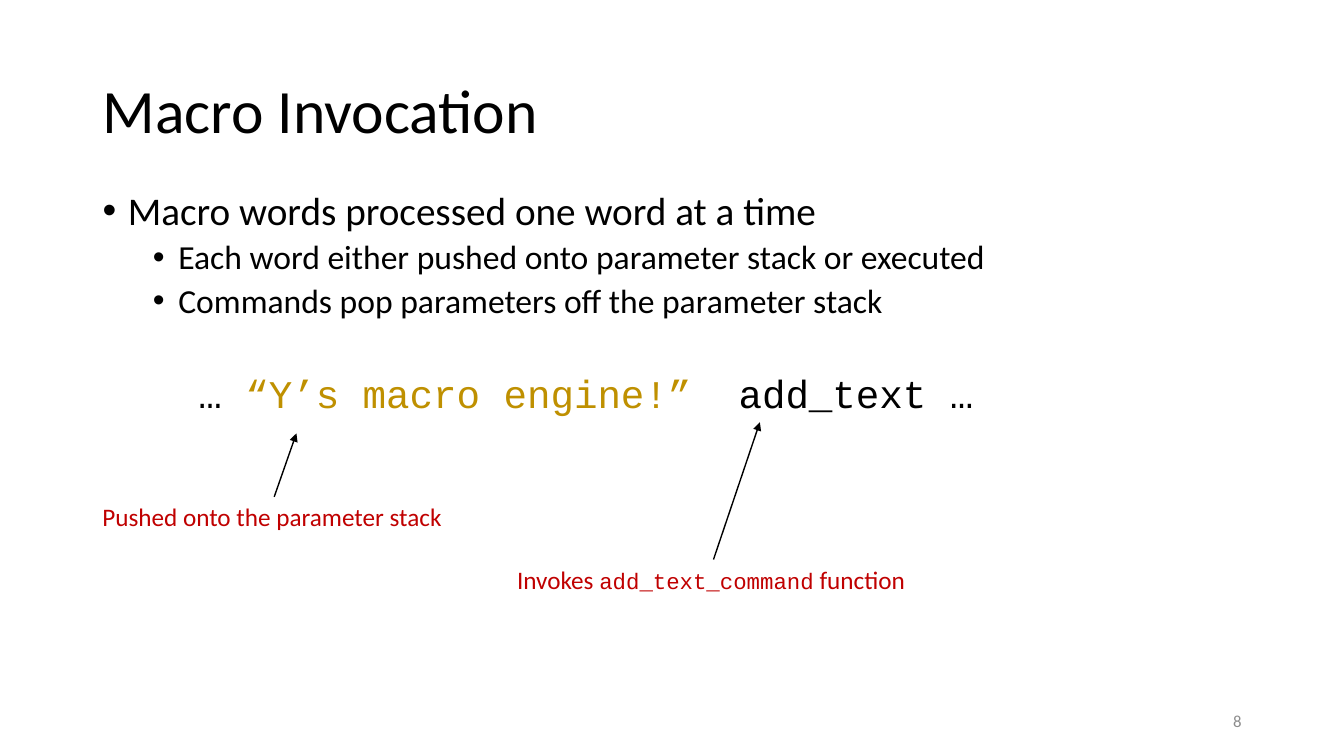
from lxml.etree import SubElement
from pptx import Presentation
from pptx.dml.color import RGBColor
from pptx.enum.shapes import MSO_CONNECTOR
from pptx.enum.text import MSO_ANCHOR, MSO_AUTO_SIZE, PP_ALIGN
from pptx.oxml.ns import qn
from pptx.util import Cm, Pt

BLACK, GOLD, RED, GRAY = "000000", "BF9000", "C00000", "8C8C8C"
SANS, MONO = "Calibri", "Courier New"
LEFT, WIDTH = 2.33, 29.21


def rgb(color):
    return RGBColor.from_string(color)


def format_run(r, size, color=BLACK, font=SANS):
    r.font.size, r.font.name = Pt(size), font
    r.font.color.rgb = rgb(color)


def place(sp, box):
    sp.left, sp.top, sp.width, sp.height = (Cm(v) for v in box)


def add_label(s, box, runs, wrap=False):
    """Add a one-line text box; runs are (text, size, color, font)."""
    sp = s.shapes.add_textbox(*(Cm(v) for v in box))
    tf = sp.text_frame
    tf.word_wrap = wrap
    p = tf.paragraphs[0]
    for text, *style in runs:
        r = p.add_run()
        r.text = text
        format_run(r, *style)
    return tf


def add_arrow(s, start, end):
    line = s.shapes.add_connector(MSO_CONNECTOR.STRAIGHT,
                                  *(Cm(v) for v in start + end))
    line.line.color.rgb = rgb(BLACK)
    line.line.width = Pt(1)
    SubElement(line.line._get_or_add_ln(), qn("a:tailEnd"), type="triangle")
    SubElement(line._element.spPr, qn("a:effectLst"))


def fill_title(s, box, text):
    sp = s.shapes.title
    place(sp, box)
    tf = sp.text_frame
    tf.text = text
    tf.auto_size = MSO_AUTO_SIZE.NONE
    tf.vertical_anchor = MSO_ANCHOR.MIDDLE
    p = tf.paragraphs[0]
    p.alignment, p.line_spacing = PP_ALIGN.LEFT, 0.9
    format_run(p.runs[0], 44)


def fill_bullets(s, box, items):
    sp = s.placeholders[1]
    place(sp, box)
    tf = sp.text_frame
    tf.text = "\n".join(text for _, text in items)
    tf.auto_size = MSO_AUTO_SIZE.NONE
    for p, (level, _) in zip(tf.paragraphs, items):
        p.level, p.line_spacing = level, 0.9
        p.space_before = Pt((10, 5)[level])
        format_run(p.runs[0], (28, 24)[level])
        # Hanging bullet
        pPr = p._p.get_or_add_pPr()
        pPr.set("marL", str(Cm(0.64 + 1.27 * level)))
        pPr.set("indent", str(Cm(-0.64)))
        SubElement(pPr, qn("a:buFont"), typeface="Arial")
        SubElement(pPr, qn("a:buChar"), char="•")


def add_example(s, x, y):
    """Code line with two callouts, placed from the region's corner."""
    add_label(s, (x + 2.42, y, 20.19, 1.45), [
        ("…", 28, BLACK, MONO),
        (" “Y’s macro engine!”  ", 28, GOLD, MONO),
        ("add_text …", 28, BLACK, MONO)])
    callouts = [
        ((0, 3.35, 9.17), (4.58, 3.35), (5.14, 1.75),
         [("Pushed onto the parameter stack", 18, RED, SANS)]),
        ((10.45, 4.93, 10.41), (15.65, 4.93), (16.82, 1.47),
         [("Invokes ", 18, RED, SANS),
          ("add_text_command", 16, RED, MONO),
          (" function", 18, RED, SANS)]),
    ]
    for (dx, dy, w), start, end, runs in callouts:
        add_label(s, (x + dx, y + dy, w, 1.02), runs)
        add_arrow(s, (x + start[0], y + start[1]), (x + end[0], y + end[1]))


def add_page_number(s, box, number):
    tf = add_label(s, box, [(number, 12, GRAY, SANS)], wrap=True)
    tf.vertical_anchor = MSO_ANCHOR.MIDDLE
    tf.paragraphs[0].alignment = PP_ALIGN.RIGHT


prs = Presentation()
prs.slide_width, prs.slide_height = Cm(33.87), Cm(19.05)
s = prs.slides.add_slide(prs.slide_layouts[1])

# Title and list
fill_title(s, (LEFT, 1.02, WIDTH, 3.68), "Macro Invocation")
fill_bullets(s, (LEFT, 4.7, WIDTH, 5.03), [
    (0, "Macro words processed one word at a time"),
    (1, "Each word either pushed onto parameter stack or executed"),
    (1, "Commands pop parameters off the parameter stack")])

# Annotated code and footer
add_example(s, LEFT, 9.17)
add_page_number(s, (LEFT + WIDTH - 7.62, 17.65, 7.62, 1.02), "8")

prs.save("out.pptx")
